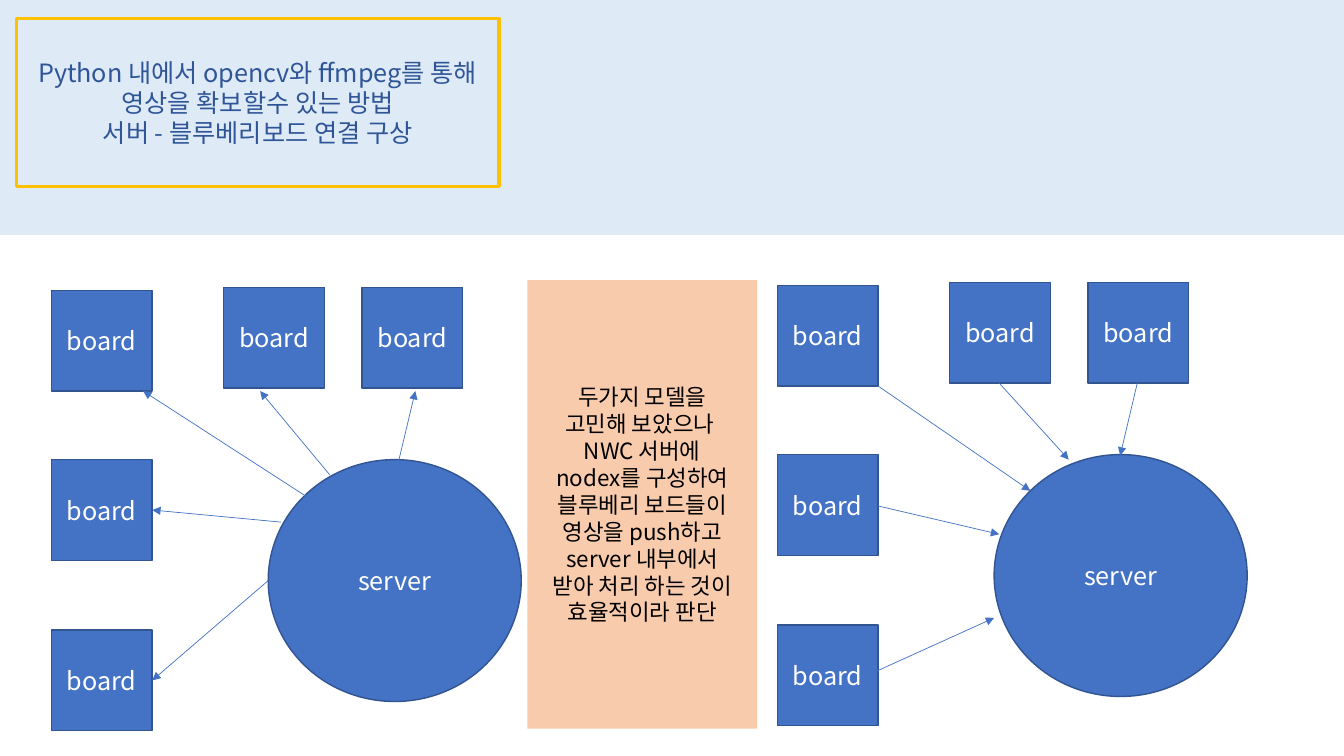
from lxml.etree import SubElement
from pptx import Presentation
from pptx.dml.color import RGBColor
from pptx.enum.shapes import MSO_CONNECTOR, MSO_SHAPE
from pptx.enum.text import MSO_ANCHOR, PP_ALIGN
from pptx.oxml.ns import qn
from pptx.util import Inches, Pt

FONT = "Noto Sans CJK KR"
PALE_BLUE = RGBColor(0xDE, 0xEB, 0xF7)
GOLD = RGBColor(0xFF, 0xC0, 0x00)
NAVY = RGBColor(0x2F, 0x55, 0x97)
BLUE = RGBColor(0x44, 0x72, 0xC4)
EDGE = RGBColor(0x32, 0x54, 0x91)
PEACH = RGBColor(0xF8, 0xCB, 0xAD)
WHITE = RGBColor(0xFF, 0xFF, 0xFF)
BLACK = RGBColor(0x00, 0x00, 0x00)

TITLE = [
    "Python 내에서 opencv와 ffmpeg를 통해 영상을 확보할수 있는 방법",
    "서버 - 블루베리보드 연결 구상",
]
VERDICT = [
    "두가지 모델을",
    "고민해 보았으나 ",
    "NWC 서버에",
    "nodex를 구성하여",
    "블루베리 보드들이 영상을 push하고 server 내부에서",
    "받아 처리 하는 것이",
    "효율적이라 판단",
]
BOARD_OFFSETS = [(0, 0.03), (0, 1.71), (0, 3.4), (1.71, 0), (3.08, 0)]
SERVER_OFFSET = (2.15, 1.71)
PULL_ARROWS = [
    ((2.76, 1.86), (2.07, 1.03)),
    ((2.52, 2.07), (0.91, 1.03)),
    ((3.44, 1.74), (3.61, 1.03)),
    ((2.28, 2.33), (1, 2.21)),
    ((2.15, 2.91), (1, 3.9)),
]
PUSH_ARROWS = [
    ((2.2, 1), (2.89, 1.76)),
    ((1, 1.03), (2.51, 2.07)),
    ((3.57, 1), (3.4, 1.72)),
    ((1, 2.22), (2.2, 2.5)),
    ((0.87, 3.91), (2.15, 3.33)),
]


def add_block(slide, box, fill=None, edge=None, width=1, kind=MSO_SHAPE.RECTANGLE):
    """Draw a flat shape in the box, given in inches."""
    block = slide.shapes.add_shape(kind, *map(Inches, box))
    block.shadow.inherit = False
    if fill is None:
        block.fill.background()
    else:
        block.fill.solid()
        block.fill.fore_color.rgb = fill
    if edge is None:
        block.line.fill.background()
    else:
        block.line.color.rgb = edge
        block.line.width = Pt(width)
    return block


def write(block, lines, color, size=18):
    """Write centred lines into a block."""
    frame = block.text_frame
    frame.word_wrap = True
    frame.vertical_anchor = MSO_ANCHOR.MIDDLE
    for index, line in enumerate(lines):
        paragraph = frame.add_paragraph() if index else frame.paragraphs[0]
        paragraph.alignment = PP_ALIGN.CENTER
        run = paragraph.add_run()
        run.text = line
        run.font.name = FONT
        run.font.size = Pt(size)
        run.font.color.rgb = color
        SubElement(run.font._element, qn("a:ea"), typeface=FONT)


def add_arrow(slide, start, end):
    """Draw a thin arrow between two points, given in inches."""
    arrow = slide.shapes.add_connector(
        MSO_CONNECTOR.STRAIGHT, *map(Inches, (*start, *end))
    )
    arrow.line.color.rgb = BLUE
    arrow.line.width = Pt(0.5)
    SubElement(arrow.line._get_or_add_ln(), qn("a:tailEnd"), type="triangle")
    SubElement(arrow._element.spPr, qn("a:effectLst"))


def add_header(slide, left, top, width, height):
    """Draw the pale band with the framed title."""
    add_block(slide, (left, top, width, height), PALE_BLUE)
    title = add_block(
        slide, (left + 0.16, top + 0.18, 4.79, 1.67), edge=GOLD, width=2.25
    )
    write(title, TITLE, NAVY)


def add_model(slide, left, top, arrows):
    """Draw five boards, their server and the arrows between them."""
    for dx, dy in BOARD_OFFSETS:
        board = add_block(slide, (left + dx, top + dy, 1, 1), BLUE, EDGE)
        write(board, ["board"], WHITE)
    dx, dy = SERVER_OFFSET
    server = add_block(
        slide, (left + dx, top + dy, 2.51, 2.4), BLUE, EDGE, kind=MSO_SHAPE.OVAL
    )
    write(server, ["server"], WHITE)
    for (x1, y1), (x2, y2) in arrows:
        add_arrow(slide, (left + x1, top + y1), (left + x2, top + y2))


def add_verdict(slide, *box):
    """Draw the panel that states the chosen model."""
    write(add_block(slide, box, PEACH), VERDICT, BLACK, 16)


def main():
    """Build the slide and save it."""
    deck = Presentation()
    deck.slide_width, deck.slide_height = Inches(13.33), Inches(7.5)
    slide = deck.slides.add_slide(deck.slide_layouts[6])
    add_header(slide, 0, 0, 13.33, 2.33)
    add_model(slide, 0.51, 2.85, PULL_ARROWS)
    add_model(slide, 7.71, 2.8, PUSH_ARROWS)
    add_verdict(slide, 5.23, 2.78, 2.28, 4.45)
    deck.save("out.pptx")


if __name__ == "__main__":
    main()
